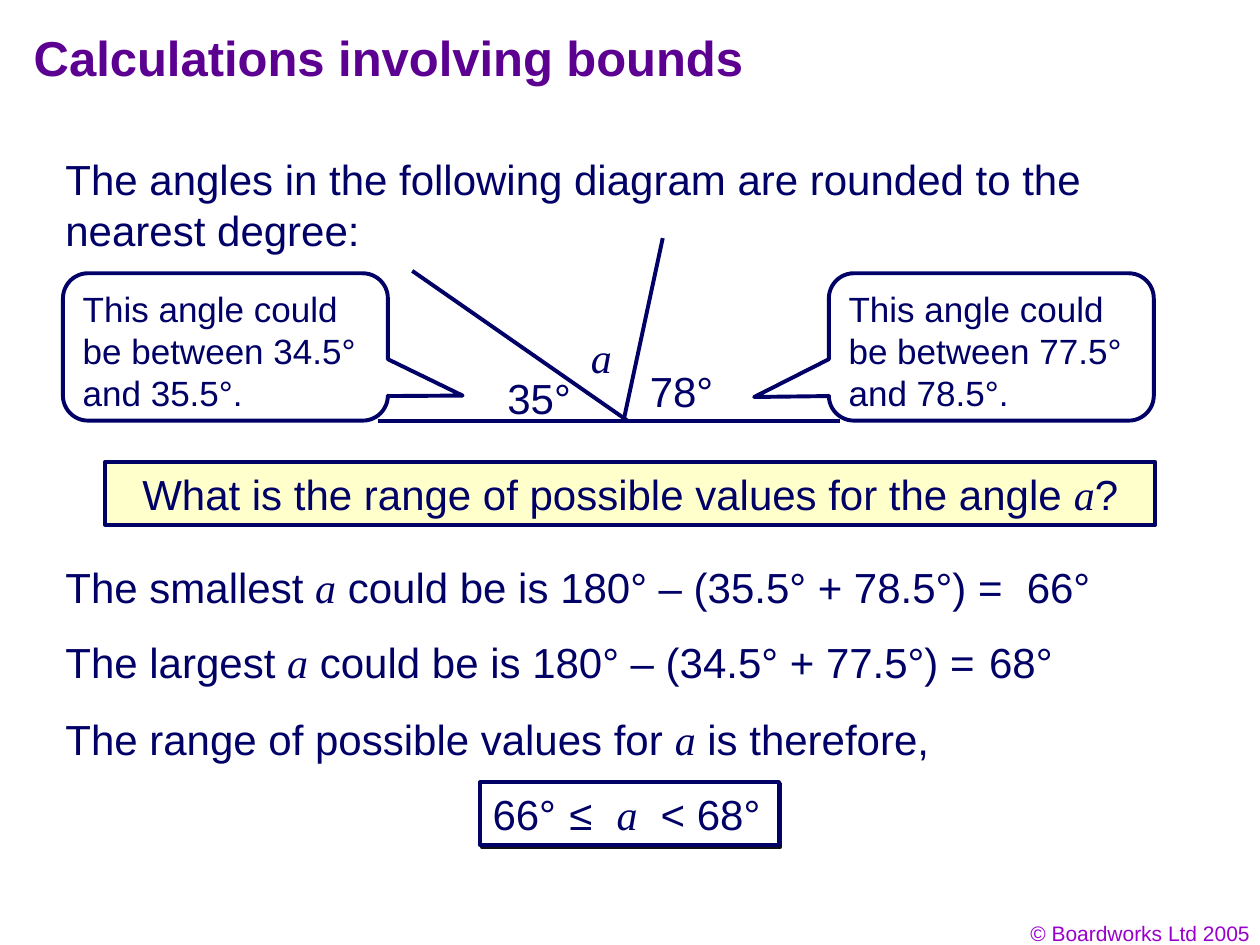
from lxml import etree
from pptx import Presentation
from pptx import util as u
from pptx.dml.color import RGBColor
from pptx.enum import shapes, text
from pptx.oxml import ns

COLOURS = {"ink": "010066", "line": "000066", "title": "5B0091", "credit": "9900CC",
           "cream": "FFFFCC", "white": "FFFFFF", "shadow": "111111"}
ANGLE = ("a", {"name": "Times New Roman", "italic": True})


def colour(name):
    return RGBColor.from_string(COLOURS[name])


class Board:
    """Holds the shared style and the current slide."""

    frame_format = {"margin_left": u.Cm(0.25), "margin_right": u.Cm(0.25),
                    "margin_top": u.Cm(0.13), "margin_bottom": u.Cm(0.13),
                    "auto_size": text.MSO_AUTO_SIZE.NONE,
                    "vertical_anchor": text.MSO_ANCHOR.TOP}
    font_format = {"name": "Arial", "bold": False, "italic": False}

    def __init__(self, page):
        self.page = page

    def fill_text(self, shape, spans, size=24, ink="ink", align="LEFT", wrap=True, **font):
        frame = shape.text_frame
        for key, value in {**self.frame_format, "word_wrap": wrap}.items():
            setattr(frame, key, value)
        para = frame.paragraphs[0]
        para.alignment = getattr(text.PP_ALIGN, align)
        for item in [spans] if isinstance(spans, str) else spans:
            words, extra = (item, {}) if isinstance(item, str) else item
            span = para.add_run()
            span.text = words
            span.font.size = u.Pt(size)
            span.font.color.rgb = colour(ink)
            for key, value in {**self.font_format, **font, **extra}.items():
                setattr(span.font, key, value)
        return para

    def title(self, place, words):
        box = self.page.shapes.title
        for key, value in zip(("left", "top", "width", "height"), place):
            setattr(box, key, u.Cm(value))
        self.fill_text(box, words, size=28, ink="title", bold=True)

    def label(self, place, spans, **style):
        box = self.page.shapes.add_textbox(*map(u.Cm, place))
        self.fill_text(box, spans, **style)

    def panel(self, kind, place, fill, spans, points=(), **style):
        box = self.page.shapes.add_shape(kind, *map(u.Cm, place))
        box.shadow.inherit = False
        box.fill.solid()
        box.fill.fore_color.rgb = colour(fill)
        box.line.color.rgb = colour("line")
        box.line.width = u.Pt(2.25)
        for index, value in enumerate(points):
            box.adjustments[index] = value
        return box, self.fill_text(box, spans, **style)

    def line(self, start, end):
        stroke = self.page.shapes.add_connector(
            shapes.MSO_CONNECTOR.STRAIGHT, *map(u.Cm, start + end))
        stroke.line.color.rgb = colour("line")
        stroke.line.width = u.Pt(2.25)
        etree.SubElement(stroke._element.spPr, ns.qn("a:effectLst"))

    def drop_shadow(self, box, distance):
        effects = box._element.spPr.find(ns.qn("a:effectLst"))
        shadow = etree.SubElement(effects, ns.qn("a:outerShdw"), blurRad="0",
                                  dist=str(u.Pt(distance)), dir="2700000",
                                  algn="ctr", rotWithShape="0")
        etree.SubElement(shadow, ns.qn("a:srgbClr"), val=COLOURS["shadow"])

    def tab_stops(self, para, positions):
        stops = etree.SubElement(para._p.get_or_add_pPr(), ns.qn("a:tabLst"))
        for position in positions:
            etree.SubElement(stops, ns.qn("a:tab"), pos=str(u.Cm(position)), algn="l")


def main():
    deck = Presentation()
    deck.slide_width, deck.slide_height = u.Cm(25.4), u.Cm(19.05)
    board = Board(deck.slides.add_slide(deck.slide_layouts[5]))
    rectangle = shapes.MSO_SHAPE.RECTANGLE
    callout = shapes.MSO_SHAPE.ROUNDED_RECTANGULAR_CALLOUT

    # Credit, title and introduction
    board.label((19.53, 18.42, 5.92, 0.76), "© Boardworks Ltd 2005",
                size=12, ink="credit", align="RIGHT")
    board.title((0.43, 0.43, 21.59, 1.7), "Calculations involving bounds")
    board.label((1.07, 2.97, 22.91, 2.29),
                "The angles in the following diagram are rounded to the nearest degree:")

    # Angle diagram
    for start, end in (((7.62, 8.48), (16.94, 8.48)),
                       ((12.65, 8.48), (8.31, 5.46)),
                       ((12.57, 8.48), (13.36, 4.8))):
        board.line(start, end)
    for left, top, width, words in ((9.98, 7.37, 1.78, "35°"),
                                    (12.85, 7.24, 1.78, "78°"),
                                    (11.66, 6.55, 0.91, ANGLE)):
        board.label((left, top, width, 1.27), [words], wrap=False)

    # Callouts with the bounds of each angle
    for left, tip, low, high in ((1.27, (0.73, 0.33), 34.5, 35.5),
                                 (16.71, (-0.73, 0.34), 77.5, 78.5)):
        board.panel(callout, (left, 5.51, 6.55, 2.97), "white",
                    f"This angle could be between {low}° and {high}°.",
                    points=(*tip, 0.17), size=20)

    # Question
    board.panel(rectangle, (2.12, 9.31, 21.17, 1.27), "cream",
                ["What is the range of possible values for the angle ", ANGLE, "?"],
                align="CENTER")

    # Working
    for top, extreme, bounds, left, answer in (
            (11.18, "smallest", "35.5° + 78.5°", 20.45, "66°"),
            (12.7, "largest", "34.5° + 77.5°", 19.69, "68°")):
        board.label((1.07, top, 19.43, 1.27),
                    [f"The {extreme} ", ANGLE, f" could be is 180° – ({bounds}) ="])
        board.label((left, top, 1.78, 1.27), answer, wrap=False)
    board.label((1.07, 14.25, 23.47, 1.27),
                ["The range of possible values for ", ANGLE, " is therefore,"])

    # Result
    box, para = board.panel(rectangle, (9.68, 15.77, 6.02, 1.27), "white",
                            ["66°\t≤\t", ANGLE, "\t< 68°"])
    board.tab_stops(para, (1.55, 2.5, 3.39))
    board.drop_shadow(box, 1.4)

    deck.save("out.pptx")


if __name__ == "__main__":
    main()
